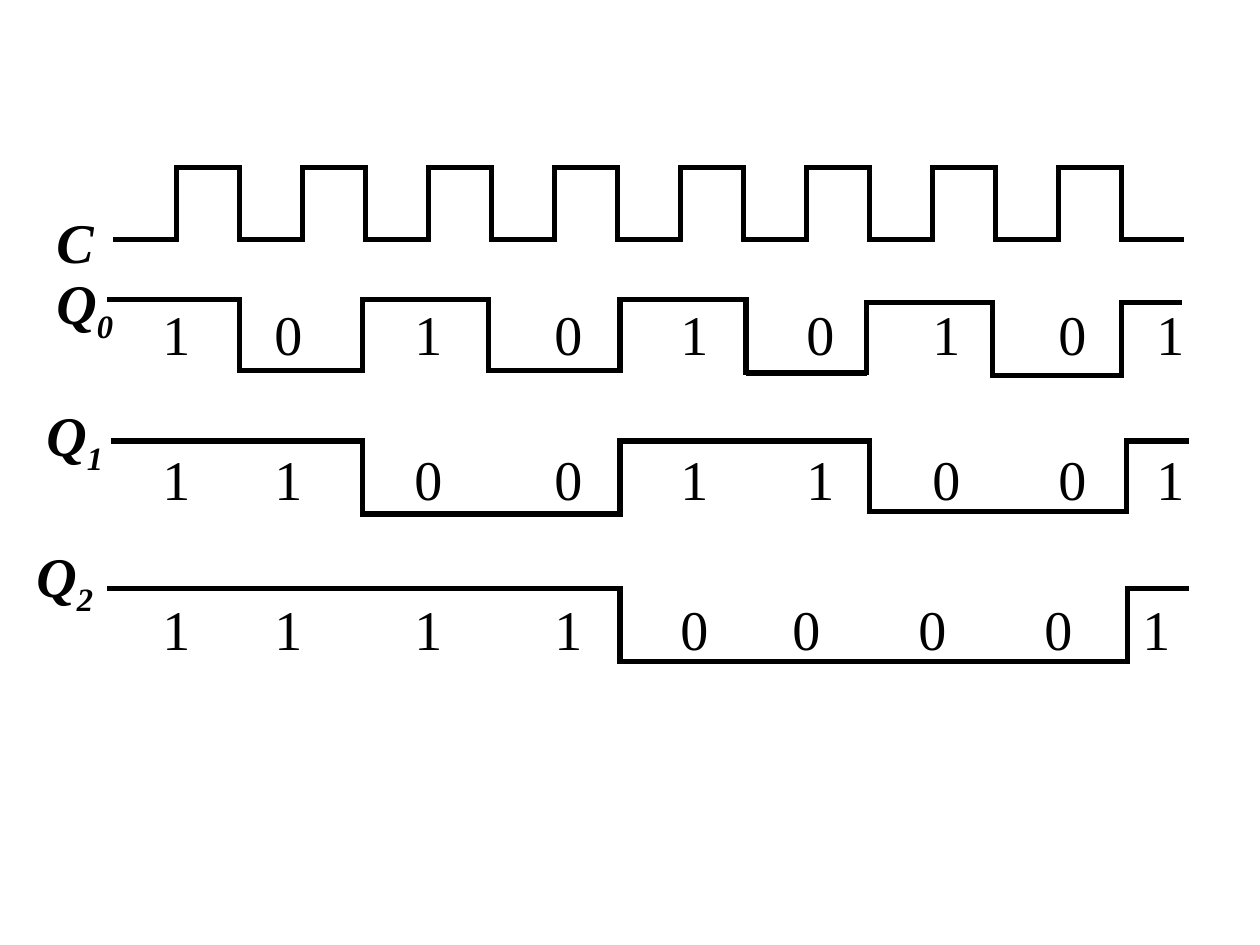
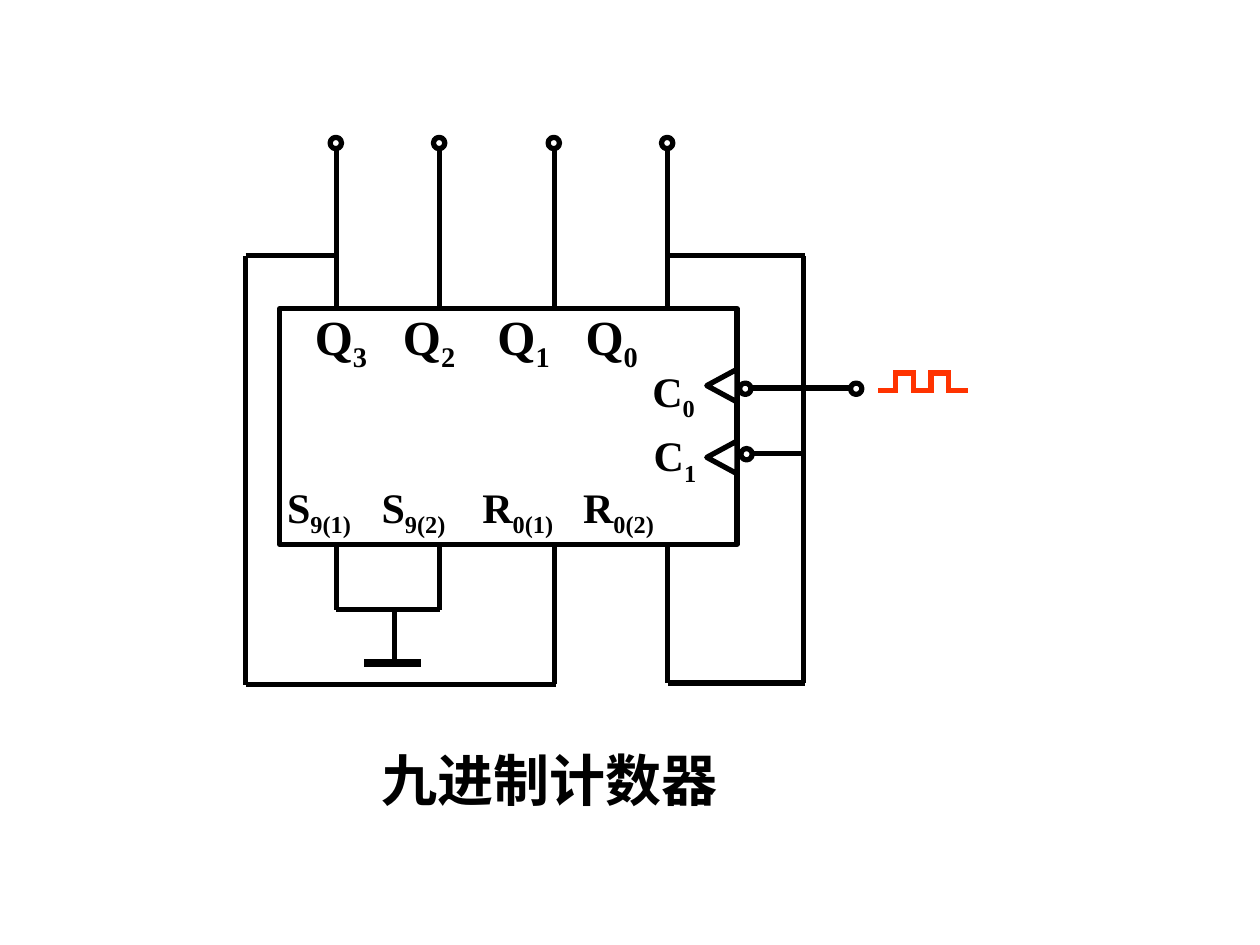
from itertools import accumulate

from lxml import etree
from pptx import Presentation
from pptx.dml.color import RGBColor
from pptx.enum import shapes, text
from pptx.oxml.ns import qn
from pptx.util import Inches, Pt

BLACK = RGBColor(0, 0, 0)
WHITE = RGBColor(255, 255, 255)
PULSE_RED = RGBColor(0xFF, 0x33, 0x00)
FONT = "Times New Roman"
STROKE = 3
OVERLAP = 0.02  # closes the corners of square waves

# ---- Timing diagram: each step is (start x, level y) ----
CLOCK_STEPS = [(0.9 + 0.5 * i, 1.33 if i % 2 else 1.9) for i in range(17)]
CLOCK_END = 9.4
CLOCK_LABEL = (0.35, 1.6, 0.67, 0.64)

# gaps: distance between neighbouring bits, in ninths of an inch
OUTPUTS = [
    dict(index="0", label_at=(0.35, 2.08), bits="101010101", bits_top=2.33,
         gaps=(8, 10, 10, 9, 9, 9, 9, 7), end=9.38,
         steps=[(0.85, 2.38), (1.9, 2.94), (2.88, 2.38), (3.88, 2.94), (4.92, 2.38),
                (5.92, 2.96), (6.88, 2.4), (7.88, 2.98), (8.9, 2.4)]),
    dict(index="1", label_at=(0.27, 3.13), bits="110011001", bits_top=3.48,
         gaps=(8, 10, 10, 9, 9, 9, 9, 7), end=9.44,
         steps=[(0.88, 3.5), (2.88, 4.08), (4.92, 3.5), (6.9, 4.06), (8.94, 3.5)]),
    dict(index="2", label_at=(0.19, 4.25), bits="111100001", bits_top=4.67,
         gaps=(8, 10, 10, 9, 8, 9, 9, 7), end=9.44,
         steps=[(0.85, 4.67), (4.92, 5.25), (8.95, 4.67)]),
]

# ---- Counter circuit ----
PIN_WIRES = [  # pass behind the chip
    (3.49, 1.09, 3.49, 4.84), (4.4, 1.09, 4.4, 5.43),
    (5.3, 1.09, 5.3, 5.42), (2.67, 1.09, 2.67, 4.84),
]
CHIP = (2.22, 2.45, 3.63, 1.87)
OUTER_WIRES = [
    (2.67, 4.84, 3.49, 4.84), (3.13, 4.84, 3.13, 5.26),  # to ground
    (1.95, 5.43, 4.41, 5.43), (1.95, 2.03, 1.95, 5.44), (1.95, 2.03, 2.65, 2.03),
    (5.95, 3.6, 6.39, 3.6), (6.38, 2.03, 6.38, 5.42), (5.3, 2.03, 6.39, 2.03),
    (5.97, 3.08, 6.75, 3.08), (5.3, 5.42, 6.39, 5.42),
]
GROUND_BAR = (2.89, 5.26, 3.34, 5.26)
TERMINALS = [(2.62, 1.09), (3.44, 1.09), (4.35, 1.09), (5.25, 1.09),
             (5.88, 3.56), (5.87, 3.04), (6.75, 3.04)]
TERMINAL_SIZE = 0.09
CLOCK_ARROW_TOPS = (3.51, 2.94)
PULSE_STEPS = [(6.97 + 0.14 * i, 2.96 if i % 2 else 3.1) for i in range(5)]
PULSE_END = 7.68
CIRCUIT_LABELS = [  # (symbol, subscript) pairs, box, size, tab stops
    ([("Q", "3"), ("Q", "2"), ("Q", "1"), ("Q", "0")],
     (2.4, 2.38, 3.26, 0.58), 28, (0.7, 1.45, 2.15)),
    ([("S", "9(1)"), ("S", "9(2)"), ("R", "0(1)"), ("R", "0(2)")],
     (2.18, 3.77, 4.53, 0.51), 24, (0.75, 1.55, 2.35)),
    ([("C", "0")], (5.08, 2.85, 0.6, 0.51), 24, ()),
    ([("C", "1")], (5.09, 3.36, 0.6, 0.51), 24, ()),
    ([("九进制计数器", "")], (2.93, 5.87, 3.45, 0.65), 32, ()),
]


def add_line(page, x1, y1, x2, y2, color=BLACK, width=STROKE):
    line = page.shapes.add_connector(
        shapes.MSO_CONNECTOR.STRAIGHT, *map(Inches, (x1, y1, x2, y2)))
    line.line.color.rgb = color
    line.line.width = Pt(width)
    etree.SubElement(line._element.spPr, qn("a:effectLst"))


def add_wave(page, steps, end, color=BLACK, overlap=OVERLAP):
    """Draw a square wave: a level per step and an edge between steps."""
    stops = [x for x, _ in steps[1:]] + [end]
    for i, ((x, y), stop) in enumerate(zip(steps, stops)):
        if i:
            low, high = sorted((steps[i - 1][1], y))
            add_line(page, x, low - overlap, x, high + overlap, color)
        add_line(page, x, y, stop, y, color)


def add_outline(page, kind, left, top, width, height, rotation=0):
    shape = page.shapes.add_shape(kind, *map(Inches, (left, top, width, height)))
    shape.shadow.inherit = False
    shape.fill.solid()
    shape.fill.fore_color.rgb = WHITE
    shape.line.color.rgb = BLACK
    shape.line.width = Pt(STROKE)
    shape.rotation = rotation


def add_text(page, symbols, place, size=32, bold=True, italic=False, tabs=(), align=None):
    """Write (symbol, subscript) pairs, one at each tab stop."""
    box = page.shapes.add_textbox(*map(Inches, place))
    box.text_frame.word_wrap = True
    para = box.text_frame.paragraphs[0]
    para.alignment = align
    if tabs:
        tab_list = etree.SubElement(para._p.get_or_add_pPr(), qn("a:tabLst"))
        for position in tabs:
            etree.SubElement(tab_list, qn("a:tab"), pos=str(Inches(position)), algn="l")
    for i, (symbol, subscript) in enumerate(symbols):
        for content, offset in (("\t" * bool(i) + symbol, 0), (subscript, -25000)):
            if not content:
                continue
            span = para.add_run()
            span.text = content
            span.font.name = FONT
            span.font.size = Pt(size)
            span.font.bold = bold
            span.font.italic = italic
            span.font.color.rgb = BLACK
            if offset:
                span.font._element.set("baseline", str(offset))


def build_timing(page):
    # Clock
    add_wave(page, CLOCK_STEPS, CLOCK_END)
    add_text(page, [("C", "")], CLOCK_LABEL, italic=True)
    # Counter outputs
    for output in OUTPUTS:
        add_wave(page, output["steps"], output["end"])
        add_text(page, [("Q", output["index"])], (*output["label_at"], 0.83, 0.71), italic=True)
        add_text(page, [(bit, "") for bit in output["bits"]],
                 (1.19, output["bits_top"], 8.42, 0.64), bold=False,
                 tabs=[ninths / 9 for ninths in accumulate(output["gaps"])])


def build_circuit(page):
    # Chip and wiring
    for wire in PIN_WIRES:
        add_line(page, *wire)
    add_outline(page, shapes.MSO_SHAPE.RECTANGLE, *CHIP)
    for wire in OUTER_WIRES:
        add_line(page, *wire)
    add_line(page, *GROUND_BAR, width=4.5)
    # Terminals and clock inputs
    for top in CLOCK_ARROW_TOPS:
        add_outline(page, shapes.MSO_SHAPE.ISOSCELES_TRIANGLE, 5.6, top, 0.26, 0.24, rotation=270)
    for left, top in TERMINALS:
        add_outline(page, shapes.MSO_SHAPE.OVAL, left, top, TERMINAL_SIZE, TERMINAL_SIZE)
    # Input pulse
    add_wave(page, PULSE_STEPS, PULSE_END, PULSE_RED)
    # Pin names and caption
    for symbols, place, size, tabs in CIRCUIT_LABELS:
        add_text(page, symbols, place, size, tabs=tabs, align=text.PP_ALIGN.JUSTIFY)


def main():
    deck = Presentation()
    deck.slide_width, deck.slide_height = Inches(10), Inches(7.5)
    for build in (build_timing, build_circuit):
        build(deck.slides.add_slide(deck.slide_layouts[6]))
    deck.save("out.pptx")


if __name__ == "__main__":
    main()
